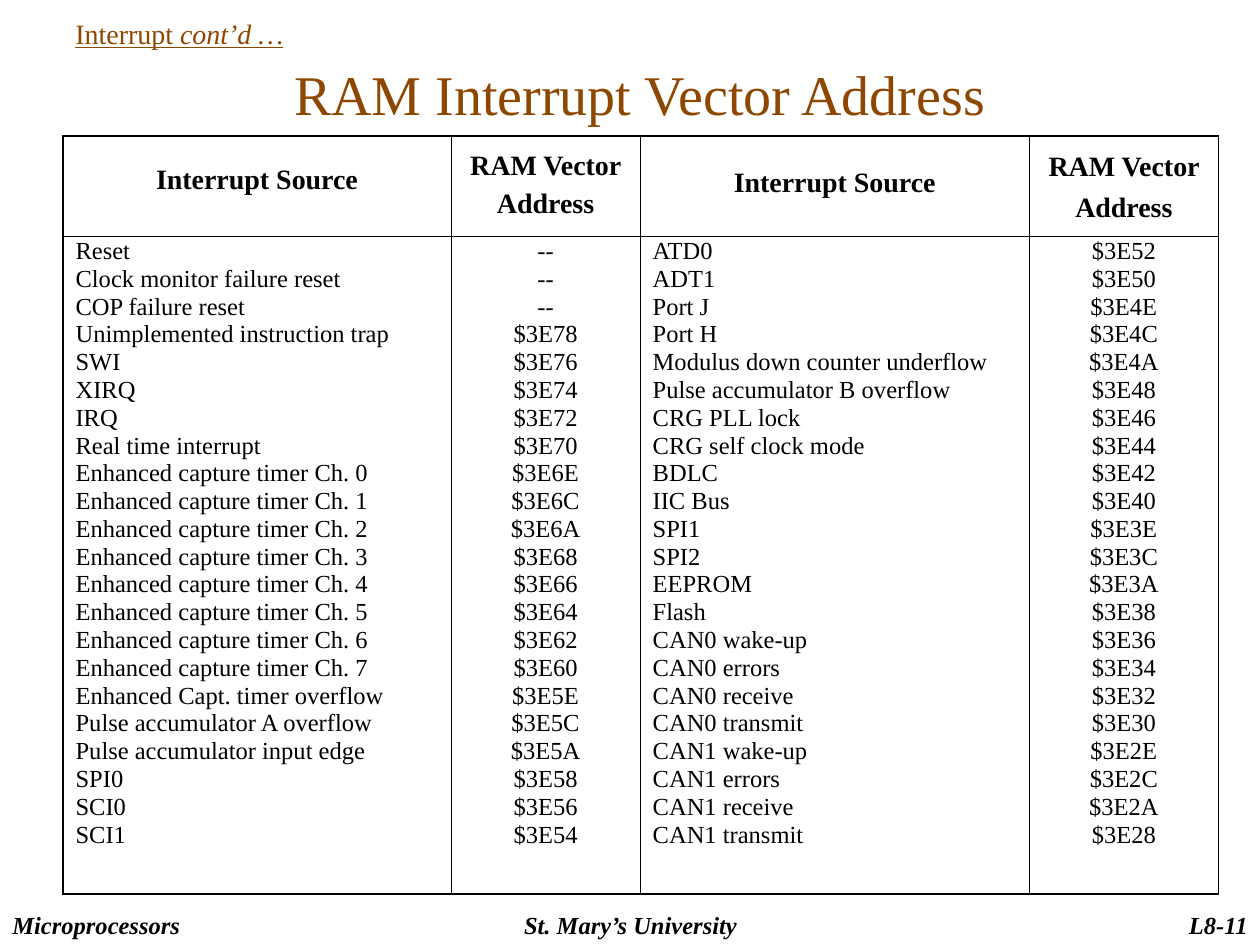
"""Build the RAM interrupt vector address slide."""
from lxml import etree
from pptx import Presentation
from pptx.dml.color import RGBColor
from pptx.enum.text import PP_ALIGN as Align
from pptx.oxml.ns import qn
from pptx.util import Inches, Pt

COLORS = {"text": "000000", "heading": "8E4700", "border": "000000"}
FONT = "Times New Roman"


def add_run(paragraph, text, size, color="text", bold=False, italic=False, underline=False):
    run = paragraph.add_run()
    run.text = text
    run.font.name = FONT
    run.font.size = Pt(size)
    run.font.bold = bold
    run.font.italic = italic
    run.font.underline = underline
    run.font.color.rgb = RGBColor.from_string(COLORS[color])


def add_text_box(left, top, width, height, align):
    box = slide.shapes.add_textbox(Inches(left), Inches(top), Inches(width), Inches(height))
    box.text_frame.word_wrap = True
    paragraph = box.text_frame.paragraphs[0]
    paragraph.alignment = align
    return paragraph


presentation = Presentation()
presentation.slide_width = Inches(10)
presentation.slide_height = Inches(7.5)
slide = presentation.slides.add_slide(presentation.slide_layouts[6])

footers = [
    ("Microprocessors", 0, 2, Align.LEFT),
    ("St. Mary’s University", 3.42, 3.17, Align.CENTER),
    ("L8-11", 8.92, 1.08, Align.RIGHT),
]
for text, left, width, align in footers:
    paragraph = add_text_box(left, 7.17, width, 0.33, align)
    add_run(paragraph, text, 14, bold=True, italic=True)

section = add_text_box(0.5, 0.08, 8.92, 0.37, Align.LEFT)
add_run(section, "Interrupt ", 16, "heading", underline=True)
add_run(section, "cont’d …", 16, "heading", italic=True, underline=True)

left_sources = [
    "Reset", "Clock monitor failure reset", "COP failure reset",
    "Unimplemented instruction trap", "SWI", "XIRQ", "IRQ", "Real time interrupt",
    *[f"Enhanced capture timer Ch. {channel}" for channel in range(8)],
    "Enhanced Capt. timer overflow", "Pulse accumulator A overflow",
    "Pulse accumulator input edge", "SPI0", "SCI0", "SCI1",
]
right_sources = [
    "ATD0", "ADT1", "Port J", "Port H", "Modulus down counter underflow",
    "Pulse accumulator B overflow", "CRG PLL lock", "CRG self clock mode",
    "BDLC", "IIC Bus", "SPI1", "SPI2", "EEPROM", "Flash",
    *[f"CAN{bus} {event}" for bus in range(2)
      for event in ("wake-up", "errors", "receive", "transmit")],
]
left_addresses = ["--"] * 3 + [f"$3E{low:02X}" for low in range(0x78, 0x52, -2)]
right_addresses = [f"$3E{low:02X}" for low in range(0x52, 0x26, -2)]

columns = [
    (3.08, "Interrupt Source", 1.7, left_sources, Align.LEFT),
    (1.5, "RAM Vector Address", 1.25, left_addresses, Align.CENTER),
    (3.09, "Interrupt Source", 1.8, right_sources, Align.LEFT),
    (1.5, "RAM Vector Address", 1.3, right_addresses, Align.CENTER),
]
row_heights = [0.79, 5.22]
frame = slide.shapes.add_table(
    len(row_heights), len(columns), Inches(0.5), Inches(1.08),
    Inches(sum(column[0] for column in columns)), Inches(sum(row_heights)))
table = frame.table
table.first_row = False
table.horz_banding = False
for row, height in zip(table.rows, row_heights):
    row.height = Inches(height)

last_column = len(columns) - 1
for index, (width, header, header_spacing, entries, align) in enumerate(columns):
    table.columns[index].width = Inches(width)

    header_cell, body_cell = table.cell(0, index), table.cell(1, index)
    paragraph = header_cell.text_frame.paragraphs[0]
    paragraph.alignment = Align.CENTER
    paragraph.line_spacing = header_spacing
    add_run(paragraph, header, 16, bold=True)

    for position, entry in enumerate(entries):
        body = body_cell.text_frame
        paragraph = body.add_paragraph() if position else body.paragraphs[0]
        paragraph.alignment = align
        paragraph.line_spacing = 0.8
        if position:
            paragraph.space_before = Pt(3.5)
        add_run(paragraph, entry, 14)

    for row_index, cell in enumerate((header_cell, body_cell)):
        cell.fill.background()
        properties = cell._tc.get_or_add_tcPr()
        outer_sides = [("lnL", index == 0), ("lnR", index == last_column),
                       ("lnT", row_index == 0), ("lnB", row_index == 1)]
        for order, (side, outer) in enumerate(outer_sides):
            line = etree.Element(qn(f"a:{side}"), w=str(Pt(1.08 if outer else 0.45)))
            fill = etree.SubElement(line, qn("a:solidFill"))
            etree.SubElement(fill, qn("a:srgbClr"), val=COLORS["border"])
            properties.insert(order, line)

title = add_text_box(0.83, 0.42, 8.5, 0.64, Align.CENTER)
add_run(title, "RAM Interrupt Vector Address", 32, "heading")

presentation.save("out.pptx")
